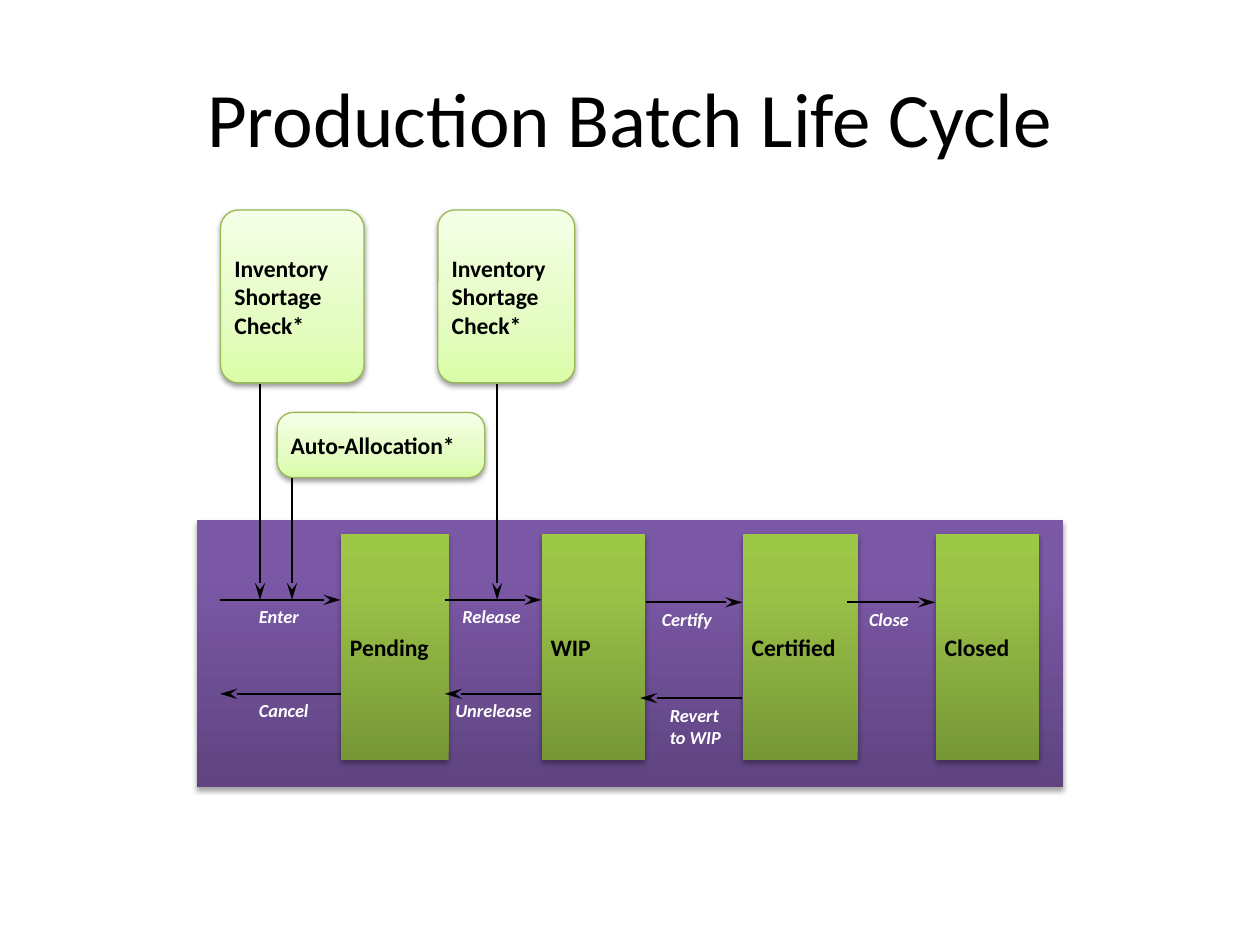
import pptx
import pptx.dml.color
import pptx.enum.shapes
import pptx.enum.text
import pptx.oxml
import pptx.oxml.ns
import pptx.util
from lxml import etree

Pt = pptx.util.Pt
SHAPES = pptx.enum.shapes.MSO_SHAPE
ANCHOR = pptx.enum.text.MSO_ANCHOR
ALIGN = pptx.enum.text.PP_ALIGN

FONT = "Calibri"
COLORS = {"ink": "000000", "label": "FFFFFF", "check_line": "98B955"}
# Gradient stops run from the bottom of a shape to its top.
GRADIENTS = {
    "band": [(0, "5F4480"), (80, "7B58A6"), (100, "7C57A8")],
    "stage": [(0, "779737"), (80, "9BC348"), (100, "9DC746")],
    "check": [(0, "DAFDA7"), (35, "E4FCC2"), (100, "F5FFE7")],
}
SHADOWS = {  # opacity percent, distance
    "band": (35, 1.8),
    "stage": (35, 1.8),
    "check": (38, 1.6),
}

TITLE = "Production Batch Life Cycle"
BAND = (112.3, 297.4, 495.4, 152.6)
SHORTAGE = ["Inventory", "Shortage", "Check*"]
CHECKS = [  # lines, frame, corner
    (SHORTAGE, (126, 120, 82, 98.8), 0.125),
    (SHORTAGE, (250.2, 120, 78.2, 98.8), 0.125),
    (["Auto-Allocation*"], (158.4, 235.7, 118.6, 37.2), 0.246),
]
STAGE_TOP, STAGE_HEIGHT = 305.2, 129.2
STAGES = [  # name, left, width
    ("Pending", 195, 61.4),
    ("WIP", 309.6, 59),
    ("Certified", 424.6, 65.6),
    ("Closed", 534.8, 59),
]
FORWARD, BACK = 342.8, 396.5  # heights of the two rows of moves
MOVES = [  # lines, start, end, height, label left, label width
    (["Enter"], 125.8, 194.6, FORWARD, 143, 33.4),
    (["Release"], 254.2, 309.4, FORWARD, 259.2, 43.9),
    (["Certify"], 369, 424.2, FORWARD + 1.4, 373.2, 38.9),
    (["Close"], 484, 534.4, FORWARD + 1.4, 491.6, 33.4),
    (["Cancel"], 194.6, 125.8, BACK, 143, 38.9),
    (["Unrelease"], 309.4, 254.2, BACK, 255.2, 54),
    (["Revert", "to WIP"], 424.2, 365.8, BACK + 2.4, 377.8, 39.6),
]
DROPS = [(284.1, 219.4), (148.6, 219.4), (166.9, 273.4)]  # x, top


def rgb(name):
    return pptx.dml.color.RGBColor.from_string(COLORS[name])


def add_child(parent, tag, **attributes):
    return etree.SubElement(parent, pptx.oxml.ns.qn(tag), attributes)


def write(box, lines, size, color="ink", bold=True, italic=False,
          anchor=ANCHOR.MIDDLE, align=ALIGN.LEFT, wrap=False):
    frame = box.text_frame
    frame.word_wrap = wrap
    frame.vertical_anchor = anchor
    frame.margin_left = frame.margin_right = Pt(5)
    frame.margin_top = frame.margin_bottom = Pt(2.6)
    for index, line in enumerate(lines):
        para = frame.add_paragraph() if index else frame.paragraphs[0]
        para.alignment = align
        span = para.add_run()
        span.text = line
        span.font.name, span.font.size = FONT, Pt(size)
        span.font.bold, span.font.italic = bold, italic
        span.font.color.rgb = rgb(color)


def add_block(page, kind, preset, frame):
    """Add a shape with the gradient, outline and shadow of its kind."""
    box = page.shapes.add_shape(preset, *map(Pt, frame))
    box.fill.gradient()
    box.fill.gradient_angle = 90
    stops = box._element.spPr.find(".//" + pptx.oxml.ns.qn("a:gsLst"))
    for stop in list(stops):
        stops.remove(stop)
    for position, color in GRADIENTS[kind]:
        stop = add_child(stops, "a:gs", pos=str(position * 1000))
        add_child(stop, "a:srgbClr", val=color)

    if kind == "check":
        box.line.color.rgb = rgb("check_line")
        box.line.width = Pt(0.75)
    else:
        box.line.fill.background()

    box.shadow.inherit = False
    opacity, distance = SHADOWS[kind]
    effects = box._element.spPr.find(pptx.oxml.ns.qn("a:effectLst"))
    shadow = add_child(effects, "a:outerShdw", blurRad=str(Pt(3.1)),
                       dist=str(Pt(distance)), dir="5400000", rotWithShape="0")
    color = add_child(shadow, "a:srgbClr", val=COLORS["ink"])
    add_child(color, "a:alpha", val=str(opacity * 1000))
    return box


def add_arrow(page, *ends):
    arrow = page.shapes.add_connector(
        pptx.enum.shapes.MSO_CONNECTOR.STRAIGHT, *map(Pt, ends))
    arrow.line.color.rgb = rgb("ink")
    arrow.line.width = Pt(1)
    add_child(arrow.line._get_or_add_ln(), "a:tailEnd",
              type="stealth", w="med", len="lg")
    add_child(arrow._element.spPr, "a:effectLst")


def main():
    deck = pptx.Presentation()
    deck.slide_width, deck.slide_height = Pt(720), Pt(540)
    page = deck.slides.add_slide(deck.slide_layouts[6])

    title = page.shapes.add_textbox(Pt(36), Pt(21.6), Pt(648), Pt(90))
    write(title, [TITLE], 44, bold=False, align=ALIGN.CENTER, wrap=True)

    add_block(page, "band", SHAPES.RECTANGLE, BAND)
    for name, left, width in STAGES:
        frame = (left, STAGE_TOP, width, STAGE_HEIGHT)
        write(add_block(page, "stage", SHAPES.RECTANGLE, frame), [name], 13.5)
    for lines, frame, corner in CHECKS:
        box = add_block(page, "check", SHAPES.ROUNDED_RECTANGLE, frame)
        box.adjustments[0] = corner
        write(box, lines, 13.5)

    for lines, start, end, height, left, width in MOVES:
        add_arrow(page, start, height, end, height)
        label = page.shapes.add_textbox(
            Pt(left), Pt(height + 0.6), Pt(width), Pt(5.2 + 12.8 * len(lines)))
        write(label, lines, 10.5, "label", italic=True, anchor=ANCHOR.TOP)
        label.text_frame.auto_size = (
            pptx.enum.text.MSO_AUTO_SIZE.SHAPE_TO_FIT_TEXT)
    for x, top in DROPS:
        add_arrow(page, x, top, x, FORWARD)

    deck.save("out.pptx")


if __name__ == "__main__":
    main()
